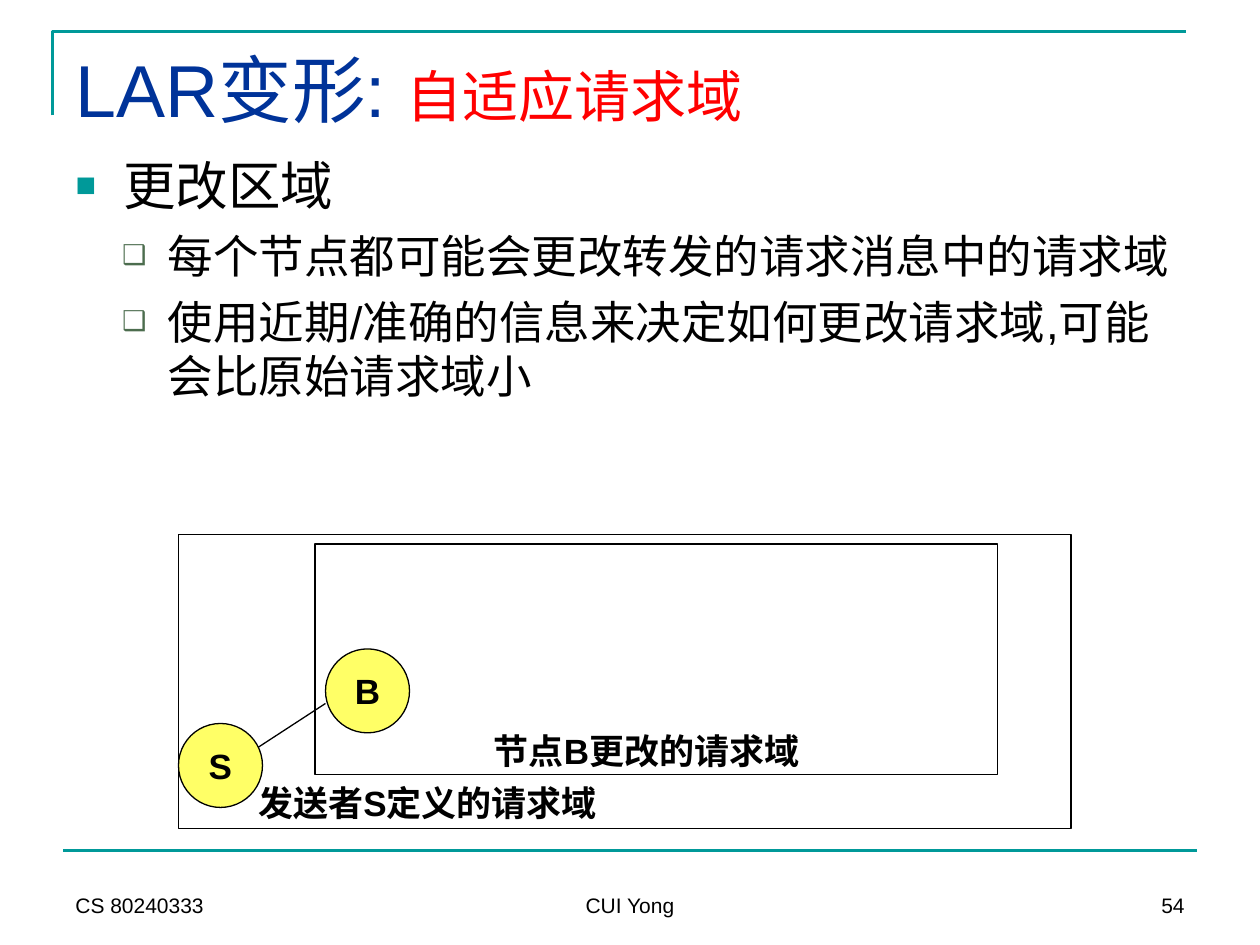
from lxml import etree
from pptx import Presentation
from pptx import util as u
from pptx.dml.color import RGBColor
from pptx.enum import shapes, text
from pptx.oxml.ns import qn

COLORS = {"teal": "009999", "navy": "003399", "red": "FF0000", "black": "000000",
          "moss": "4C6D4E", "yellow": "FFFF66"}
ALIGN, ANCHOR, AUTO = text.PP_ALIGN, text.MSO_ANCHOR, text.MSO_AUTO_SIZE

deck = Presentation()
deck.slide_width, deck.slide_height = u.Inches(10), u.Inches(7.5)
slide = deck.slides.add_slide(deck.slide_layouts[1])
UNIT = deck.slide_width / 120  # the grid has 120 columns and 90 rows


def grid(*cells):
    return [u.Emu(round(cell * UNIT)) for cell in cells]


def write(paragraph, words, size, color="black", bold=False):
    run = paragraph.add_run()
    run.text = words
    font = {"name": "Arial", "size": u.Pt(size), "bold": bold}
    for key, value in font.items():
        setattr(run.font, key, value)
    run.font.color.rgb = RGBColor.from_string(COLORS[color])


# Teal frame: corner at the top left, rule above the footer
builder = slide.shapes.build_freeform(*grid(5, 11), scale=1.0)
builder.add_line_segments([grid(5, 3), grid(113, 3)], close=False)
corner = builder.convert_to_shape()
corner.fill.background()
corner.shadow.inherit = False
rule = slide.shapes.add_connector(shapes.MSO_CONNECTOR.STRAIGHT, *grid(6, 81, 114, 81))
for frame_part in (corner, rule):
    frame_part.line.color.rgb = RGBColor.from_string(COLORS["teal"])
    frame_part.line.width = u.Pt(1.5)

# Title and list
title, body = slide.shapes.title, slide.placeholders[1]
for holder, place in ((title, (6, 3.6, 116, 15)), (body, (6, 14, 107, 35))):
    holder.left, holder.top, holder.width, holder.height = grid(*place)
    layout = {"vertical_anchor": ANCHOR.TOP, "auto_size": AUTO.NONE, "word_wrap": True}
    for key, value in layout.items():
        setattr(holder.text_frame, key, value)

heading = title.text_frame.paragraphs[0]
heading.alignment = ALIGN.LEFT
write(heading, "LAR变形: ", 42, "navy")
write(heading, "自适应请求域", 32, "red")

# level: size, space before, left margin, hanging indent, bullet, its colour and percent
LEVELS = [(30, 0, 0.38, 0.38, "■", "teal", 65), (26, 6.5, 0.73, 0.36, "❑", "moss", 60)]
points = [(0, "更改区域"),
          (1, "每个节点都可能会更改转发的请求消息中的请求域"),
          (1, "使用近期/准确的信息来决定如何更改请求域,可能会比原始请求域小")]
for number, (level, words) in enumerate(points):
    frame = body.text_frame
    point = frame.add_paragraph() if number else frame.paragraphs[0]
    size, before, margin, hanging, bullet, tint, percent = LEVELS[level]
    point.level = level
    point.space_before = u.Pt(before)
    props = point._p.get_or_add_pPr()
    props.set("marL", str(u.Inches(margin)))
    props.set("indent", str(-u.Inches(hanging)))
    bullet_color = etree.SubElement(props, qn("a:buClr"))
    etree.SubElement(bullet_color, qn("a:srgbClr"), val=COLORS[tint])
    etree.SubElement(props, qn("a:buSzPct"), val=str(percent * 1000))
    etree.SubElement(props, qn("a:buFont"), typeface="Arial")
    etree.SubElement(props, qn("a:buChar"), char=bullet)
    write(point, words, size)

# Diagram: the nodes, the zones and the hop between the nodes
OVAL, RECT = shapes.MSO_SHAPE.OVAL, shapes.MSO_SHAPE.RECTANGLE
diagram = [(OVAL, (17, 68.9, 8, 8), "S"), (OVAL, (31, 61.8, 8, 8), "B"),
           (RECT, (17, 50.9, 85, 28), ""), (RECT, (30, 51.8, 65, 22), "")]
hop = slide.shapes.add_connector(shapes.MSO_CONNECTOR.STRAIGHT, *grid(24.4, 71.3, 31, 67))
outlined = [hop]
for kind, place, node in diagram:
    part = slide.shapes.add_shape(kind, *grid(*place))
    part.shadow.inherit = False
    outlined.append(part)
    if node:
        part.fill.solid()
        part.fill.fore_color.rgb = RGBColor.from_string(COLORS["yellow"])
        part.text_frame.word_wrap = False
        part.text_frame.vertical_anchor = ANCHOR.MIDDLE
        label = part.text_frame.paragraphs[0]
        label.alignment = ALIGN.CENTER
        write(label, node, 20, bold=True)
    else:
        part.fill.background()
for part in outlined:
    part.line.color.rgb = RGBColor.from_string(COLORS["black"])
    part.line.width = u.Pt(0.75)
for connector in (rule, hop):
    etree.SubElement(connector._element.spPr, qn("a:effectLst"))

# Zone captions and footer
captions = [("节点B更改的请求域", (41.6, 68.8, 40, 5.3), ALIGN.CENTER, ANCHOR.MIDDLE, 20),
            ("发送者S定义的请求域", (23.4, 73.8, 40, 5.3), ALIGN.LEFT, ANCHOR.MIDDLE, 20),
            ("CS 80240333", (6, 82, 28, 6), ALIGN.LEFT, ANCHOR.BOTTOM, 12),
            ("CUI Yong", (41, 82, 38, 6), ALIGN.CENTER, ANCHOR.BOTTOM, 12),
            ("54", (86, 82, 28, 6), ALIGN.RIGHT, ANCHOR.BOTTOM, 12)]
for words, place, align, anchor, size in captions:
    frame = slide.shapes.add_textbox(*grid(*place)).text_frame
    frame.word_wrap = True
    frame.vertical_anchor = anchor
    frame.paragraphs[0].alignment = align
    write(frame.paragraphs[0], words, size, bold=size == 20)

deck.save("out.pptx")
